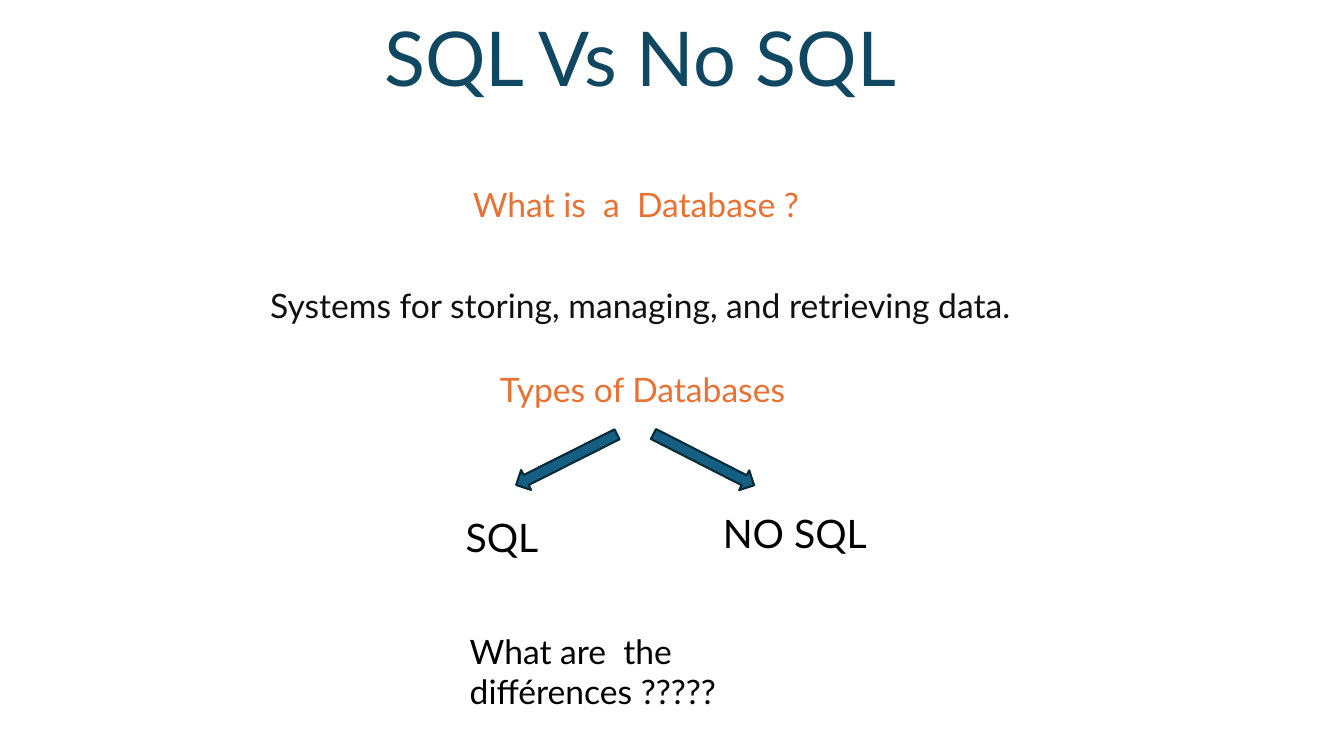
from dataclasses import dataclass

from pptx import Presentation
from pptx.dml.color import RGBColor
from pptx.enum.shapes import MSO_SHAPE
from pptx.enum.text import MSO_ANCHOR, MSO_AUTO_SIZE, PP_ALIGN
from pptx.util import Inches, Pt


@dataclass(frozen=True)
class Theme:
    font: str = "Lato"
    title: str = "104862"
    heading: str = "E97132"
    body: str = "111111"
    label: str = "000000"
    arrow: str = "156082"
    arrow_edge: str = "092A39"
    title_size: int = 54
    text_size: int = 24
    label_size: int = 28


THEME = Theme()

# Content: boxes are left, top, width, height in inches
TITLE = "SQL Vs No SQL"
TITLE_BOX = (1.35, 0.17, 10, 0.9)
INTRO_BOX = (1.35, 1.82, 10, 1.81)
INTRO = [  # text, colour, space before in points
    ("What is  a  Database ? ", THEME.heading, 10),
    ("Systems for storing, managing, and retrieving data.", THEME.body, 46),
]
LABELS = [  # lines, box, size, colour
    (["Types of Databases"], (4.86, 3.61, 3.15, 0.5), THEME.text_size, THEME.heading),
    (["SQL"], (4.52, 5.04, 1.1, 0.57), THEME.label_size, THEME.label),
    (["NO SQL"], (7.07, 5, 1.75, 0.57), THEME.label_size, THEME.label),
    (["What are  the ", "différences ?????"], (4.56, 6.21, 4.72, 0.5),
     THEME.text_size, THEME.label),
]
ARROW_TOP, ARROW_WIDTH, ARROW_HEIGHT = 4.45, 1.12, 0.22
ARROWS = [(6.42, 27), (5.06, 153.3)]  # left, rotation


def style(paragraph, size, color):
    paragraph.font.name = THEME.font
    paragraph.font.size = Pt(size)
    paragraph.font.color.rgb = RGBColor.from_string(color)


def add_text_frame(slide, box):
    frame = slide.shapes.add_textbox(*map(Inches, box)).text_frame
    frame.word_wrap = True
    return frame


prs = Presentation()
prs.slide_width, prs.slide_height = Inches(13.33), Inches(7.5)
slide = prs.slides.add_slide(prs.slide_layouts[5])

# Title
title = slide.shapes.title
title.left, title.top, title.width, title.height = map(Inches, TITLE_BOX)
title.text_frame.text = TITLE
title.text_frame.auto_size = MSO_AUTO_SIZE.NONE
title.text_frame.vertical_anchor = MSO_ANCHOR.BOTTOM
heading = title.text_frame.paragraphs[0]
heading.alignment = PP_ALIGN.CENTER
heading.line_spacing = 0.9
style(heading, THEME.title_size, THEME.title)

# Question and definition
intro = add_text_frame(slide, INTRO_BOX)
for index, (text, color, gap) in enumerate(INTRO):
    paragraph = intro.add_paragraph() if index else intro.paragraphs[0]
    paragraph.text = text
    paragraph.alignment = PP_ALIGN.CENTER
    paragraph.line_spacing = 0.9
    paragraph.space_before = Pt(gap)
    style(paragraph, THEME.text_size, color)

# Arrows to the two types
for left, rotation in ARROWS:
    arrow = slide.shapes.add_shape(
        MSO_SHAPE.RIGHT_ARROW, Inches(left), Inches(ARROW_TOP),
        Inches(ARROW_WIDTH), Inches(ARROW_HEIGHT))
    arrow.rotation = rotation
    arrow.shadow.inherit = False
    arrow.fill.solid()
    arrow.fill.fore_color.rgb = RGBColor.from_string(THEME.arrow)
    arrow.line.color.rgb = RGBColor.from_string(THEME.arrow_edge)
    arrow.line.width = Pt(1.5)

# Types and closing question
for lines, box, size, color in LABELS:
    paragraph = add_text_frame(slide, box).paragraphs[0]
    for index, line in enumerate(lines):
        if index:
            paragraph.add_line_break()
        paragraph.add_run().text = line
    style(paragraph, size, color)

prs.save("out.pptx")
